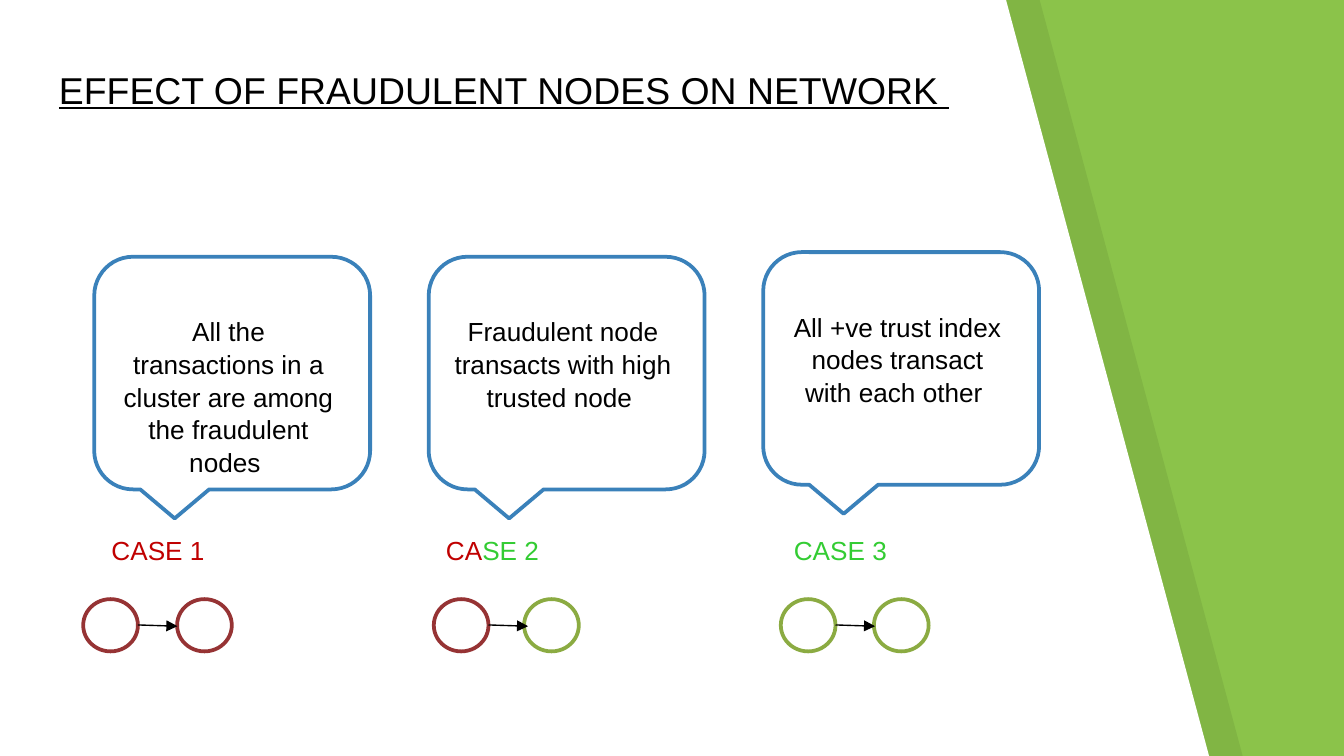
import pptx
import pptx.dml.color
import pptx.enum.dml
import pptx.enum.shapes
import pptx.enum.text
import pptx.oxml
import pptx.oxml.ns
import pptx.util

Pt = pptx.util.Pt
RGB = pptx.dml.color.RGBColor
Kind = pptx.enum.shapes.MSO_SHAPE
Fit = pptx.enum.text.MSO_AUTO_SIZE
Align = pptx.enum.text.PP_ALIGN
Anchor = pptx.enum.text.MSO_ANCHOR

LIME = RGB(0x8B, 0xC3, 0x4A)
WHITE = RGB(0xFF, 0xFF, 0xFF)
BLACK = RGB(0x00, 0x00, 0x00)
BLUE = RGB(0x3A, 0x81, 0xBA)
RED = RGB(0xC0, 0x00, 0x00)
GREEN = RGB(0x33, 0xCC, 0x33)
MAROON = RGB(0x96, 0x33, 0x34)
OLIVE = RGB(0x8B, 0xAB, 0x42)

NODE_W, NODE_H, NODE_TOP = 29.3, 28, 321

# callout text, callout top, label left, label runs, node lefts, node colours
CASES = [
    ("All the transactions in a cluster are among the fraudulent nodes ",
     137.6, 52.6, [("CASE 1", RED)], (44.6, 94.9), (MAROON, MAROON)),
    ("Fraudulent node transacts with high trusted node ",
     137.6, 231.8, [("CA", RED), ("SE 2", GREEN)], (232.4, 280.8), (MAROON, OLIVE)),
    ("All +ve trust index nodes transact with each other ",
     135.1, 418.2, [("CASE 3", GREEN)], (418.3, 468.2), (OLIVE, OLIVE)),
]


def write(frame, runs, size=14, font="Arial", align=Align.LEFT, under=None, space=None):
    """Fill the frame with one paragraph of (text, colour) runs."""
    para = frame.paragraphs[0]
    para.alignment = align
    para.line_spacing = space
    for text, color in runs:
        run = para.add_run()
        run.text = text
        run.font.name = font
        run.font.size = Pt(size)
        run.font.underline = under
        run.font.color.rgb = color


class Painter:
    def __init__(self, slide, edge=2, thin=0.75):
        self.slide = slide
        self.shapes = slide.shapes
        self.edge = edge
        self.thin = thin

    def ground(self, color):
        fill = self.slide.background.fill
        fill.solid()
        fill.fore_color.rgb = color

    def panel(self, left, color, alpha=None):
        """Draw a full-height panel with a slanted right edge."""
        pen = self.shapes.build_freeform(Pt(left), Pt(-1), scale=1.0)
        spots = [(left, 406), (left + 648, 406), (left + 539, 0)]
        pen.add_line_segments([(Pt(x), Pt(y)) for x, y in spots], close=True)
        shape = pen.convert_to_shape()
        shape.shadow.inherit = False
        shape.fill.solid()
        shape.fill.fore_color.rgb = color
        shape.line.fill.background()
        if alpha:
            tone = shape.fill._xPr.find(".//" + pptx.oxml.ns.qn("a:srgbClr"))
            node = pptx.oxml.parse_xml(
                f'<a:alpha {pptx.oxml.ns.nsdecls("a")} val="{alpha * 1000}"/>')
            tone.append(node)

    def shape(self, kind, left, top, width, height, color):
        shape = self.shapes.add_shape(kind, Pt(left), Pt(top), Pt(width), Pt(height))
        shape.shadow.inherit = False
        shape.fill.solid()
        shape.fill.fore_color.rgb = WHITE
        shape.line.color.rgb = color
        shape.line.width = Pt(self.edge)

    def text(self, left, top, width, height, runs, fit=Fit.SHAPE_TO_FIT_TEXT, **style):
        box = self.shapes.add_textbox(Pt(left), Pt(top), Pt(width), Pt(height))
        frame = box.text_frame
        frame.word_wrap = True
        frame.auto_size = fit
        write(frame, runs, **style)
        return frame

    def arrow(self, left, top, right, low):
        line = self.shapes.add_connector(
            pptx.enum.shapes.MSO_CONNECTOR.STRAIGHT, Pt(left), Pt(top), Pt(right), Pt(low))
        line.line.color.rgb = BLACK
        line.line.width = Pt(self.thin)
        names = pptx.oxml.ns.nsdecls("a")
        tip = pptx.oxml.parse_xml(f'<a:tailEnd {names} type="triangle"/>')
        line.line._get_or_add_ln().append(tip)
        line._element.spPr.append(pptx.oxml.parse_xml(f"<a:effectLst {names}/>"))


def main():
    deck = pptx.Presentation()
    deck.slide_width, deck.slide_height = Pt(720), Pt(405)
    art = Painter(deck.slides.add_slide(deck.slide_layouts[6]))

    art.ground(LIME)
    art.panel(18, BLACK, alpha=7)
    art.panel(0, WHITE)

    title = art.text(24.5, 34.6, 548.6, 32.4,
                     [("EFFECT OF FRAUDULENT NODES ON NETWORK ", BLACK)],
                     fit=Fit.NONE, size=20, under=True)
    title.vertical_anchor = Anchor.BOTTOM
    title.margin_top = title.margin_bottom = Pt(7.2)

    for i, (words, top, label, runs, lefts, colors) in enumerate(CASES):
        left = 50.5 + 179.2 * i
        art.shape(Kind.ROUNDED_RECTANGULAR_CALLOUT, left, top, 147.8, 124.6, BLUE)
        art.text(left + 5.7, top + 27.4, 132.5, 58.3, [(words, BLACK)],
                 align=Align.CENTER, space=1.04)
        art.text(label, 282.2, 70.6, 24.5, runs, space=1.04)
        for x, color in zip(lefts, colors):
            art.shape(Kind.OVAL, x, NODE_TOP, NODE_W, NODE_H, color)
        start = lefts[0] + NODE_W
        art.arrow(start, 334.8, start + 21.2, 335.5)

    deck.save("out.pptx")


if __name__ == "__main__":
    main()
